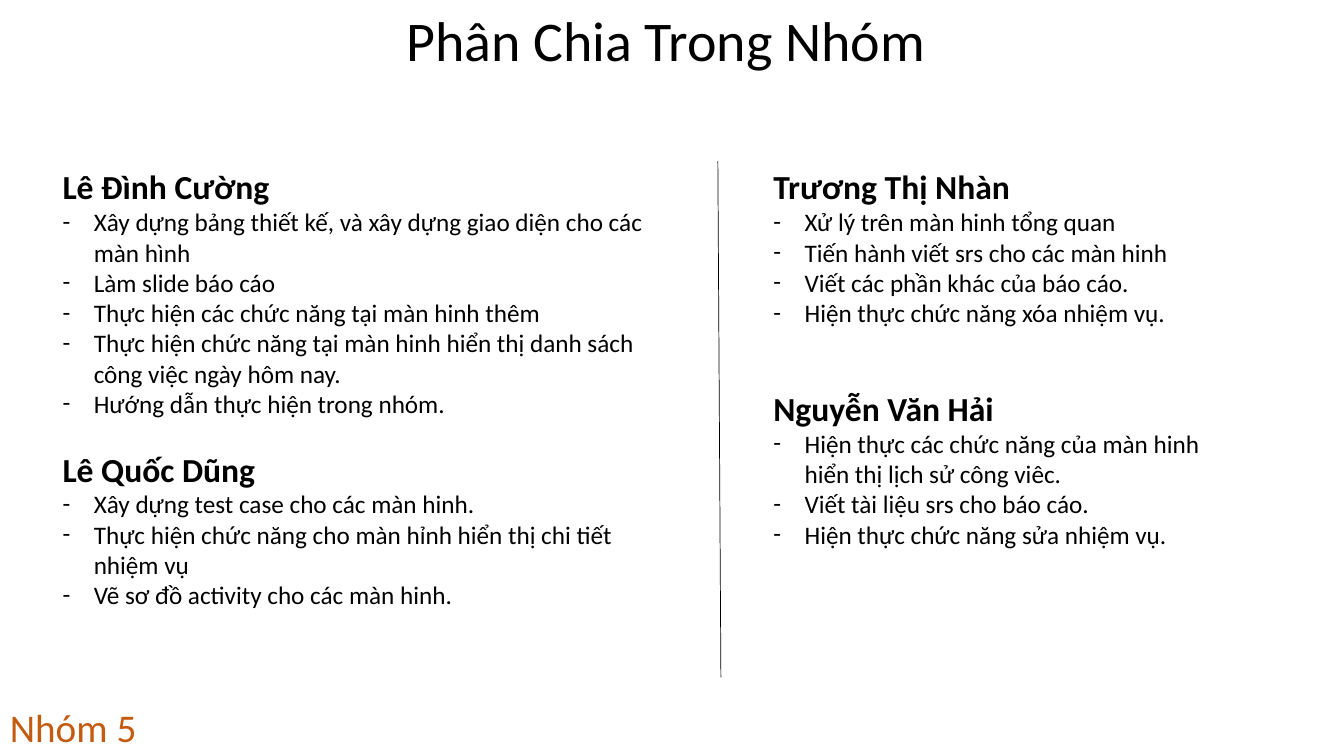
from lxml import etree
from pptx import Presentation
from pptx.dml.color import RGBColor
from pptx.enum import shapes, text
from pptx.oxml.ns import qn
from pptx.util import Inches, Pt

BLACK = RGBColor(0x00, 0x00, 0x00)
WHITE = RGBColor(0xFF, 0xFF, 0xFF)
ORANGE = RGBColor(0xC5, 0x5A, 0x11)
FONT = "Calibri"
HANGING = Inches(0.31)

# Each column: left, width, gap before its second member, members with tasks
COLUMNS = [
    (0.52, 6.25, 21.5, [
        ("Lê Đình Cường", [
            "Xây dựng bảng thiết kế, và xây dựng giao diện cho các màn hình",
            "Làm slide báo cáo",
            "Thực hiện các chức năng tại màn hinh thêm",
            "Thực hiện chức năng tại màn hinh hiển thị danh sách công việc ngày hôm nay.",
            "Hướng dẫn thực hiện trong nhóm.",
        ]),
        ("Lê Quốc Dũng", [
            "Xây dựng test case cho các màn hinh.",
            "Thực hiện chức năng cho màn hỉnh hiển thị chi tiết nhiệm vụ",
            "Vẽ sơ đồ activity cho các màn hinh.",
        ]),
    ]),
    (7.57, 4.86, 43, [
        ("Trương Thị Nhàn", [
            "Xử lý trên màn hinh tổng quan",
            "Tiến hành viết srs cho các màn hinh",
            "Viết các phần khác của báo cáo.",
            "Hiện thực chức năng xóa nhiệm vụ.",
        ]),
        ("Nguyễn Văn Hải", [
            "Hiện thực các chức năng của màn hinh hiển thị lịch sử công viêc.",
            "Viết tài liệu srs cho báo cáo.",
            "Hiện thực chức năng sửa nhiệm vụ.",
        ]),
    ]),
]


def place(shape, left, top, width, height, opacity=None):
    shape.left, shape.top = Inches(left), Inches(top)
    shape.width, shape.height = Inches(width), Inches(height)
    frame = shape.text_frame
    frame.word_wrap = True
    frame.auto_size = text.MSO_AUTO_SIZE.NONE
    frame.vertical_anchor = text.MSO_ANCHOR.TOP
    if opacity:
        shape.fill.solid()
        shape.fill.fore_color.rgb = WHITE
        color = shape._element.spPr.find(".//" + qn("a:srgbClr"))
        etree.SubElement(color, qn("a:alpha")).set("val", str(opacity * 1000))


def write(paragraph, words, size, color=BLACK, bold=False, before=0, bullet=None):
    paragraph.text = words
    paragraph.space_before = Pt(before)
    properties = paragraph._p.get_or_add_pPr()
    indent = HANGING if bullet else 0
    properties.set("marL", str(indent))
    properties.set("indent", str(-indent))
    if bullet:
        etree.SubElement(properties, qn("a:buFont")).set("typeface", FONT)
        etree.SubElement(properties, qn("a:buChar")).set("char", bullet)
    else:
        etree.SubElement(properties, qn("a:buNone"))
    font = paragraph.font
    font.name, font.size, font.bold = FONT, Pt(size), bold
    font.color.rgb = color


presentation = Presentation()
presentation.slide_width = Inches(13.33)
presentation.slide_height = Inches(7.5)
slide = presentation.slides.add_slide(presentation.slide_layouts.get_by_name("Two Content"))
title, *bodies = slide.placeholders

# Title
place(title, 0, 0, 13.33, 0.77, opacity=50)
write(title.text_frame.paragraphs[0], "Phân Chia Trong Nhóm ", 40)

# Members and their tasks
for body, (left, width, gap, members) in zip(bodies, COLUMNS):
    place(body, left, 1.6, width, 4.85, opacity=20)
    frame = body.text_frame
    for index, (member, tasks) in enumerate(members):
        heading = frame.add_paragraph() if index else frame.paragraphs[0]
        write(heading, member, 24, bold=True, before=gap * index)
        for task in tasks:
            write(frame.add_paragraph(), task, 18, bullet="-")

# Group label
label = slide.shapes.add_textbox(0, 0, 0, 0)
place(label, 0, 6.93, 3.52, 0.57)
write(label.text_frame.paragraphs[0], "Nhóm 5", 28, ORANGE)

# Divider between the columns
divider = slide.shapes.add_connector(
    shapes.MSO_CONNECTOR.STRAIGHT, Inches(7.12), Inches(1.6), Inches(7.15), Inches(6.72))
divider.line.color.rgb = BLACK
divider.line.width = Pt(0.5)
etree.SubElement(divider._element.spPr, qn("a:effectLst"))

presentation.save("out.pptx")
